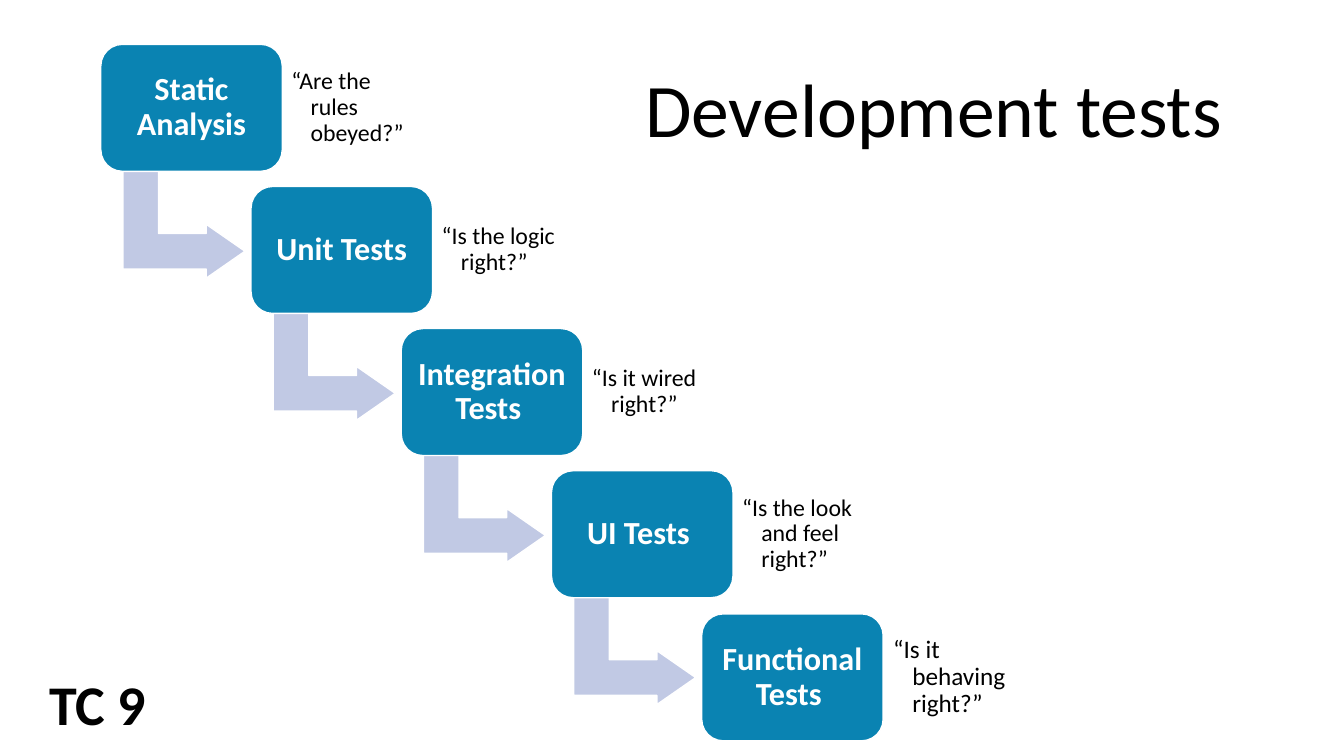
from pptx import Presentation
from pptx.dml.color import RGBColor
from pptx.enum.shapes import MSO_SHAPE
from pptx.enum.text import MSO_ANCHOR, MSO_AUTO_SIZE, PP_ALIGN
from pptx.util import Emu, Pt

ROUNDED, BENT_ARROW = MSO_SHAPE.ROUNDED_RECTANGLE, MSO_SHAPE.BENT_UP_ARROW
TOP, MIDDLE = MSO_ANCHOR.TOP, MSO_ANCHOR.MIDDLE
LEFT, CENTER = PP_ALIGN.LEFT, PP_ALIGN.CENTER
NO_FIT, GROW = MSO_AUTO_SIZE.NONE, MSO_AUTO_SIZE.SHAPE_TO_FIT_TEXT

STEPS = [
    # test, question, question size, question inset
    ("Static Analysis", "“Are the rules obeyed?”", 17, 9),
    ("Unit Tests", "“Is the logic right?”", 17, 9),
    ("Integration Tests ", "“Is it wired right?”", 17, 9),
    ("UI Tests ", "“Is the look and feel right?”", 17, 9),
    ("Functional Tests ", "“Is it behaving right?”", 18, 10),
]
STEP_RIGHT, STAIRS_HEIGHT = 149, 565


def px(value):
    """Convert px, 100 to the inch, into EMU."""
    return Emu(value * 9144)


def color(value):
    return RGBColor.from_string(value)


class SlideBuilder:
    font = "Calibri"
    black, white = "000000", "FFFFFF"
    box_fill, arrow_fill = "0A83B2", "C1C9E4"

    def __init__(self, presentation):
        self.slide = presentation.slides.add_slide(presentation.slide_layouts[5])
        self.group = self.slide.shapes.add_group_shape()

    def set_text(self, shape, text, size, ink, bold=False, align=LEFT, spacing=0.9,
                 inset=None, hanging=0, **frame_format):
        frame = shape.text_frame
        frame.text = text
        frame_format = {"word_wrap": True, "auto_size": NO_FIT,
                        "vertical_anchor": MIDDLE, **frame_format}
        if inset is not None:
            for side in ("left", "top", "right", "bottom"):
                frame_format[f"margin_{side}"] = px(inset)
        for name, value in frame_format.items():
            setattr(frame, name, value)
        paragraph = frame.paragraphs[0]
        paragraph.alignment, paragraph.line_spacing = align, spacing
        if hanging:
            properties = paragraph._p.get_or_add_pPr()
            properties.set("marL", str(px(hanging)))
            properties.set("indent", str(-px(hanging)))
        font = paragraph.runs[0].font
        for name, value in {"name": self.font, "size": Pt(size), "bold": bold}.items():
            setattr(font, name, value)
        font.color.rgb = color(ink)

    def title(self, text, left, top, width, height):
        shape = self.slide.shapes.title
        bounds = {"left": left, "top": top, "width": width, "height": height}
        for name, value in bounds.items():
            setattr(shape, name, px(value))
        self.set_text(shape, text, 54, self.black)

    def text(self, shapes, text, bounds, size, **text_format):
        shape = shapes.add_textbox(*map(px, bounds))
        self.set_text(shape, text, size, self.black, **text_format)

    def shape(self, kind, bounds, fill, adjustments):
        shape = self.group.shapes.add_shape(kind, *map(px, bounds))
        shape.shadow.inherit = False
        shape.fill.solid()
        shape.fill.fore_color.rgb = color(fill)
        shape.line.color.rgb = color(self.white)
        shape.line.width = Pt(1)
        for index, value in enumerate(adjustments):
            shape.adjustments[index] = value
        return shape

    def arrow(self, left, top):
        bounds = (left, top, 107, 121)
        shape = self.shape(BENT_ARROW, bounds, self.arrow_fill, (0.33, 0.25, 0.36))
        shape.rotation = 90

    def box(self, text, left, top):
        shape = self.shape(ROUNDED, (left, top, 180, 126), self.box_fill, (0.17,))
        self.set_text(shape, text, 23, self.white, bold=True, align=CENTER, inset=10)

    def question(self, text, left, top, size, inset):
        self.text(self.group.shapes, text, (left, top, 131, 102), size,
                  inset=inset, hanging=19)


def main():
    presentation = Presentation()
    presentation.slide_width, presentation.slide_height = px(1333), px(750)
    builder = SlideBuilder(presentation)
    builder.title("Development tests", 630, 40, 611, 145)

    # Staircase of tests, each leading to the next
    last = len(STEPS) - 1
    for index, (test, question, size, inset) in enumerate(STEPS):
        left = 100 + index * STEP_RIGHT
        top = 44 + index * STAIRS_HEIGHT // last
        if index < last:
            builder.arrow(left + 29, top + 118)
        builder.box(test, left, top)
        builder.question(question, left + 180, top + 12, size, inset)

    # Corner label
    builder.text(builder.slide.shapes, "TC 9", (39, 659, 155, 77), 40, bold=True,
                 spacing=1.0, vertical_anchor=TOP, auto_size=GROW)
    presentation.save("out.pptx")


if __name__ == "__main__":
    main()
